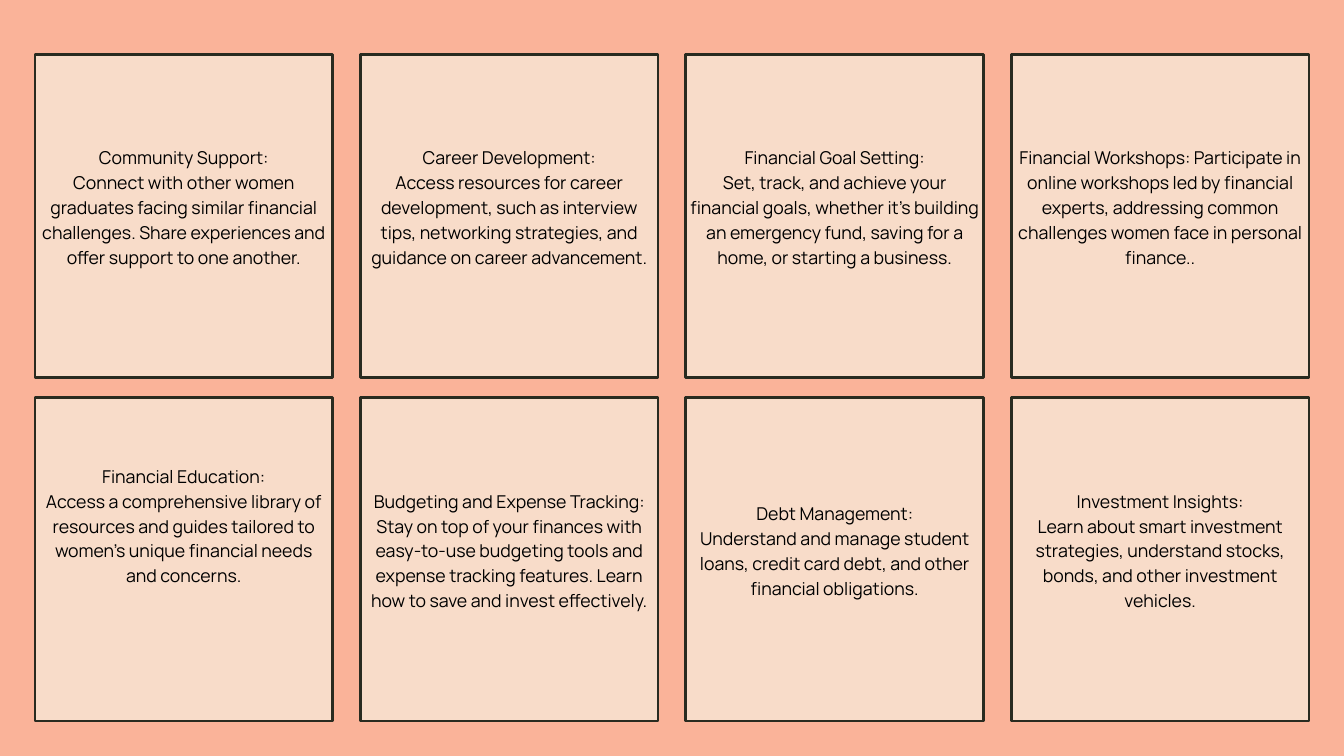
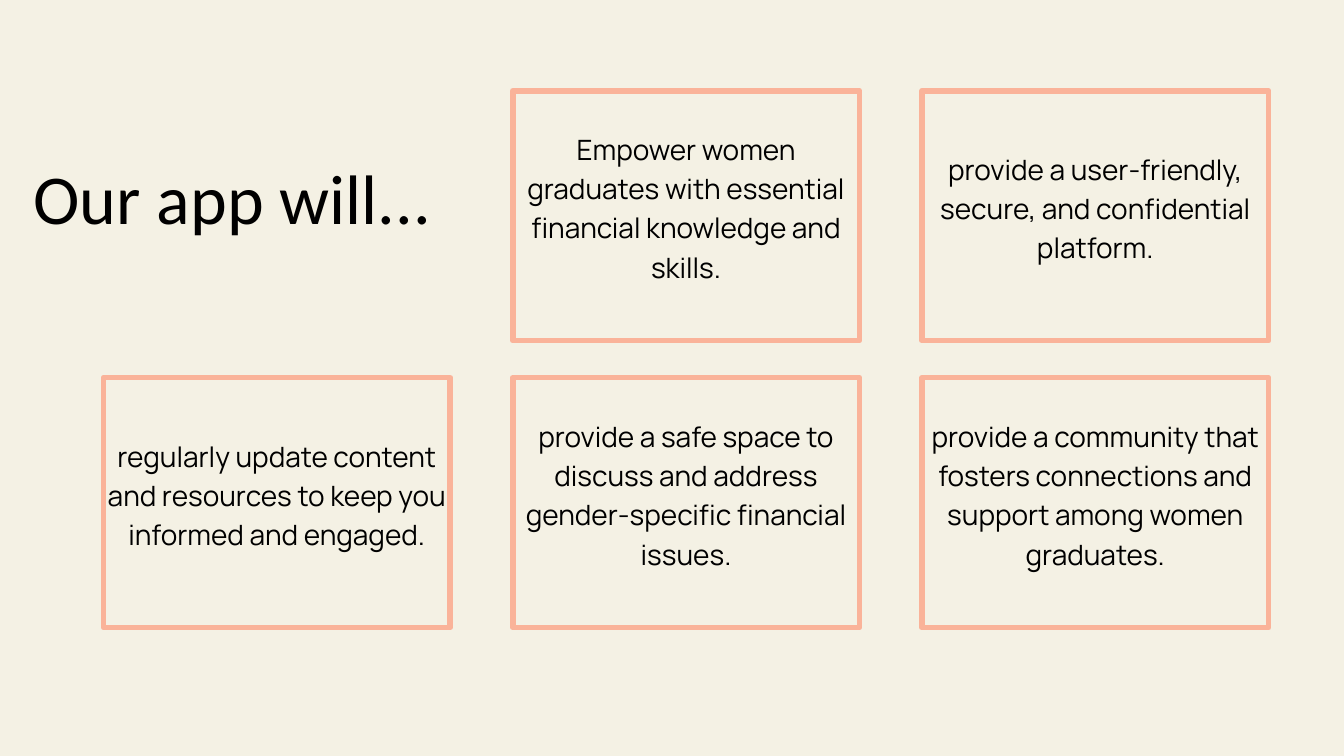
from dataclasses import dataclass

from pptx import Presentation, util as u
from pptx.dml.color import RGBColor as Rgb
from pptx.enum import shapes, text


@dataclass(frozen=True)
class Theme:
    peach: Rgb = Rgb.from_string("FAB399")
    blush: Rgb = Rgb.from_string("F8DCC9")
    cream: Rgb = Rgb.from_string("F4F1E4")
    olive: Rgb = Rgb.from_string("292B20")
    ink: Rgb = Rgb.from_string("000000")
    head: str = "Calibri"
    body: str = "Manrope"
    title: float = 75
    large: float = 30
    small: float = 19


T = Theme()
PAD, LIFT = 0.06, 0.31  # text inset, and extra inset below card text


def write(shape, lines, size, lead=1.4, font=T.body, align=text.PP_ALIGN.CENTER,
          anchor=text.MSO_ANCHOR.MIDDLE, pad=PAD, low=PAD):
    """Set one paragraph per line; lead is line height as a share of size."""
    frame = shape.text_frame
    frame.word_wrap = True
    frame.auto_size = text.MSO_AUTO_SIZE.NONE
    frame.vertical_anchor = anchor
    frame.margin_left = frame.margin_right = frame.margin_top = u.Inches(pad)
    frame.margin_bottom = u.Inches(low)
    frame.text = "\n".join(lines)
    for par in frame.paragraphs:
        par.alignment = align
        par.line_spacing = u.Pt(size * lead)
        par.font.size = u.Pt(size)
        par.font.name = font
        par.font.color.rgb = T.ink


def card(slide, box, lines, size, edge, width, fill=None, rise=0):
    """Draw a framed card; rise is extra room kept free below its text."""
    rect = slide.shapes.add_shape(shapes.MSO_SHAPE.RECTANGLE, *map(u.Inches, box))
    rect.shadow.inherit = False
    if fill is None:
        rect.fill.background()
    else:
        rect.fill.solid()
        rect.fill.fore_color.rgb = fill
    rect.line.color.rgb = edge
    rect.line.width = u.Pt(width)
    write(rect, lines, size, low=PAD + LIFT + rise)


deck = Presentation()
deck.slide_width, deck.slide_height = u.Inches(20), u.Inches(11.25)
only, blank = deck.slide_layouts[5], deck.slide_layouts[6]

# Slide 1: features in four columns and two rows
features = [
    ("Community Support:", "Connect with other women graduates facing similar "
     "financial challenges. Share experiences and offer support to one another."),
    ("Career Development:", "Access resources for career development, such as interview "
     "tips, networking strategies, and guidance on career advancement."),
    ("Financial Goal Setting:", "Set, track, and achieve your financial goals, whether "
     "it's building an emergency fund, saving for a home, or starting a business."),
    ("Financial Workshops: Participate in online workshops led by financial experts, "
     "addressing common challenges women face in personal finance..",),
    ("Financial Education:", "Access a comprehensive library of resources and guides "
     "tailored to women's unique financial needs and concerns."),
    ("Budgeting and Expense Tracking:", "Stay on top of your finances with easy-to-use "
     "budgeting tools and expense tracking features. Learn how to save and invest "
     "effectively."),
    ("Debt Management:", "Understand and manage student loans, credit card debt, and "
     "other financial obligations."),
    ("Investment Insights:", "Learn about smart investment strategies, understand "
     "stocks, bonds, and other investment vehicles."),
]
slide = deck.slides.add_slide(blank)
slide.background.fill.solid()
slide.background.fill.fore_color.rgb = T.peach
left, top, wide, high = 0.52, 0.81, 4.43, 4.81
step = (20 - 2 * left - wide) / 3
for i, lines in enumerate(features):
    row, col = divmod(i, 4)
    box = left + col * step, top + row * (high + 0.3), wide, high
    rise = 0.74 if lines[0] == "Financial Education:" else 0
    card(slide, box, lines, T.small, T.olive, 3, T.blush, rise)

# Slide 2: promises in three columns, with the title in the first cell
promises = [
    "Empower women graduates with essential financial knowledge and skills.",
    "provide a user-friendly, secure, and confidential platform.",
    "regularly update content and resources to keep you informed and engaged.",
    "provide a safe space to discuss and address gender-specific financial issues.",
    "provide a community that fosters connections and support among women graduates.",
]
slide = deck.slides.add_slide(only)
slide.background.fill.solid()
slide.background.fill.fore_color.rgb = T.cream
title = slide.shapes.title
title.left, title.top, title.width, title.height = map(u.Inches, (0.5, 2.5, 6.97, 1.1))
write(title, ["Our app will..."], T.title, lead=1, font=T.head,
      align=text.PP_ALIGN.LEFT, anchor=text.MSO_ANCHOR.TOP, pad=0, low=0)
left, top, wide, high = 1.54, 1.35, 5.16, 3.72
for i, line in enumerate(promises, start=1):
    row, col = divmod(i, 3)
    box = left + col * (wide + 0.93), top + row * (high + 0.55), wide, high
    card(slide, box, [line], T.large, T.peach, 6)

deck.save("out.pptx")
